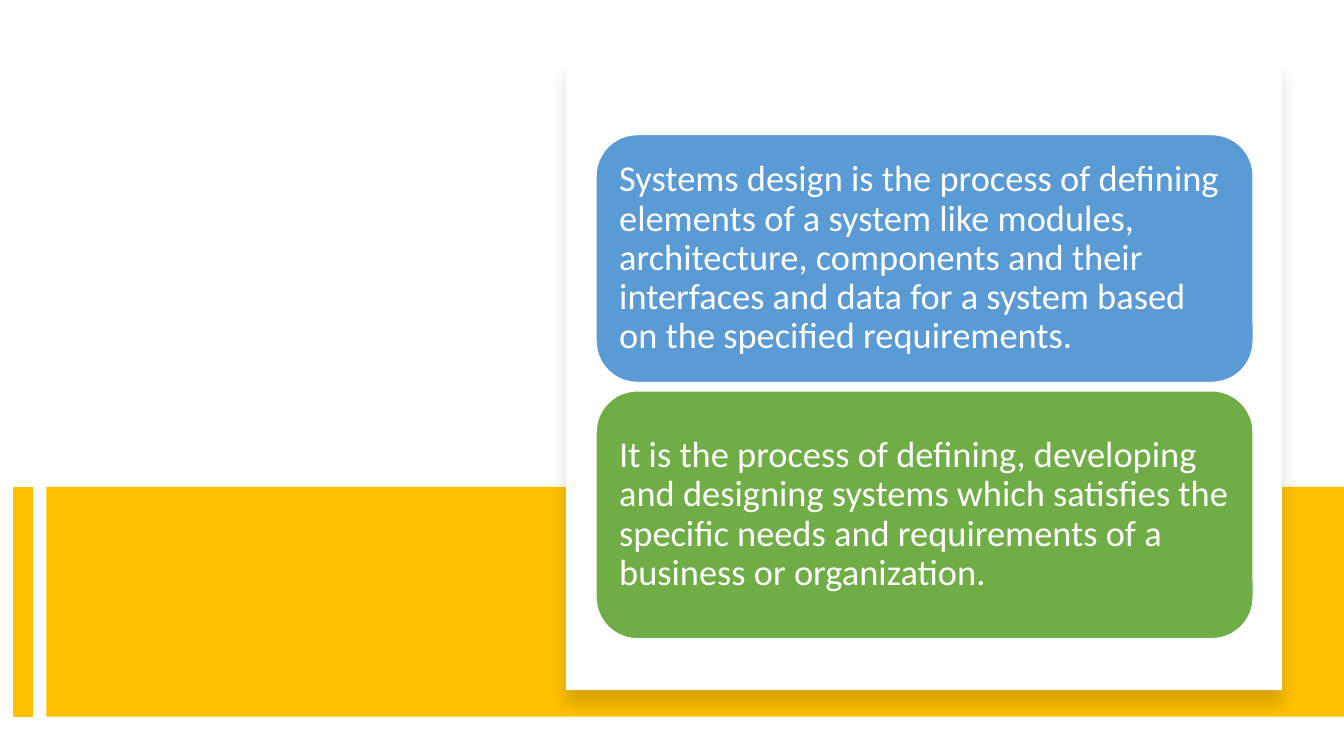
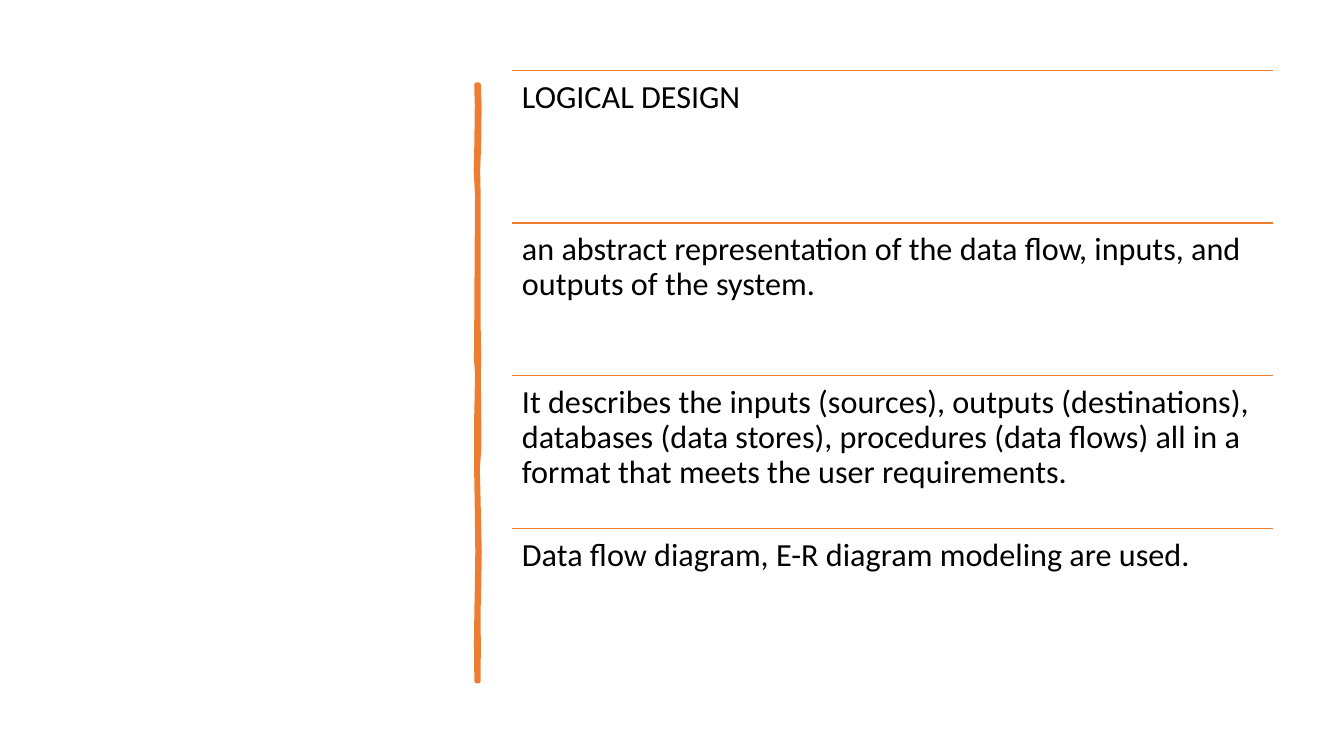
"""Build two slides on systems design: definition cards and ruled statements."""
import dataclasses

import lxml.etree
import pptx
import pptx.dml.color
import pptx.enum.shapes
import pptx.enum.text
import pptx.oxml.ns
import pptx.util

SHAPES = pptx.enum.shapes.MSO_SHAPE
ANCHORS = pptx.enum.text.MSO_ANCHOR


@dataclasses.dataclass(frozen=True)
class Theme:
    """Hold the colours, type sizes and slide size that the deck shares."""
    width: int = pptx.util.Inches(13.333)
    height: int = pptx.util.Inches(7.5)
    font: str = "Calibri"
    white: str = "FFFFFF"
    black: str = "000000"
    gold: str = "FFC000"
    blue: str = "5B9BD5"
    green: str = "70AD47"
    orange: str = "ED7D31"
    card_size: float = 26
    row_size: float = 23
    line_spacing: float = 0.9
    hairline: float = 1
    brush_line: float = 3.25
    bar_line: float = 14


THEME = Theme()

CARDS = (
    (THEME.blue, "Systems design is the process of defining elements of a system "
     "like modules, architecture, components and their interfaces and data for "
     "a system based on the specified requirements."),
    (THEME.green, "It is the process of defining, developing and designing systems "
     "which satisfies the specific needs and requirements of a business or "
     "organization."),
)
STATEMENTS = (
    "LOGICAL DESIGN",
    "an abstract representation of the data flow, inputs, and outputs of the system.",
    "It describes the inputs (sources), outputs (destinations), databases (data "
    "stores), procedures (data flows) all in a format that meets the user "
    "requirements.",
    "Data flow diagram, E-R diagram modeling are used.",
)
BRUSH_EDGES = (
    (1120, 3546, 3561), (1400, 3550, 3567), (1900, 3547, 3564),
    (2250, 3542, 3556), (2600, 3552, 3560), (3400, 3549, 3559),
    (4300, 3546, 3560), (4750, 3544, 3564), (4950, 3552, 3561),
    (5500, 3546, 3564), (5900, 3545, 3566), (6200, 3545, 3554),
    (6750, 3550, 3561), (7300, 3554, 3568), (7800, 3550, 3564),
    (8100, 3547, 3559), (8500, 3544, 3561), (9010, 3547, 3560),
)


def across(share):
    """Convert a percentage of the slide width to a length."""
    return round(THEME.width * share / 100)


def down(share):
    """Convert a percentage of the slide height to a length."""
    return round(THEME.height * share / 100)


def area(left, top, width, height):
    """Convert a rectangle given in slide percentages to lengths."""
    return across(left), down(top), across(width), down(height)


def rgb(value):
    """Return the colour object for a hexadecimal value."""
    return pptx.dml.color.RGBColor.from_string(value)


def style_shape(shape, fill, line=None, weight=THEME.hairline):
    """Give a shape a flat fill, an optional outline and no shadow."""
    shape.shadow.inherit = False
    shape.fill.solid()
    shape.fill.fore_color.rgb = rgb(fill)
    if line:
        shape.line.color.rgb = rgb(line)
        shape.line.width = pptx.util.Pt(weight)
    else:
        shape.line.fill.background()


def add_panel(page, bounds, fill, line=None, kind=SHAPES.RECTANGLE):
    """Add a filled preset shape."""
    panel = page.shapes.add_shape(kind, *area(*bounds))
    style_shape(panel, fill, line)
    return panel


def add_rule(page, start, end, colour, weight=THEME.hairline):
    """Add a straight line between two points given in percentages."""
    rule = page.shapes.add_connector(
        pptx.enum.shapes.MSO_CONNECTOR.STRAIGHT,
        across(start[0]), down(start[1]), across(end[0]), down(end[1]))
    rule.line.color.rgb = rgb(colour)
    rule.line.width = pptx.util.Pt(weight)
    lxml.etree.SubElement(rule._element.spPr, pptx.oxml.ns.qn("a:effectLst"))


def write_text(box, text, size, colour, inset, anchor):
    """Write one left-aligned paragraph with even insets."""
    frame = box.text_frame
    frame.word_wrap = True
    frame.vertical_anchor = anchor
    frame.margin_left = frame.margin_right = pptx.util.Inches(inset)
    frame.margin_top = frame.margin_bottom = pptx.util.Inches(inset)
    frame.text = text
    para = frame.paragraphs[0]
    para.alignment = pptx.enum.text.PP_ALIGN.LEFT
    para.line_spacing = THEME.line_spacing
    for span in para.runs:
        span.font.name = THEME.font
        span.font.size = pptx.util.Pt(size)
        span.font.color.rgb = rgb(colour)


def add_drop_shadow(shape, blur, distance, opacity):
    """Cast a soft black shadow straight down from a shape."""
    qn = pptx.oxml.ns.qn
    effects = shape._element.spPr.find(qn("a:effectLst"))
    shadow = lxml.etree.SubElement(
        effects, qn("a:outerShdw"), blurRad=str(pptx.util.Pt(blur)),
        dist=str(pptx.util.Pt(distance)), dir="5400000", algn="t", rotWithShape="0")
    tint = lxml.etree.SubElement(shadow, qn("a:srgbClr"), val=THEME.black)
    lxml.etree.SubElement(tint, qn("a:alpha"), val=str(opacity * 1000))


def add_brush_stroke(page):
    """Draw the uneven vertical stroke from its left and right edges."""
    right_side = [(right, row) for row, left, right in BRUSH_EDGES]
    left_side = [(left, row) for row, left, right in reversed(BRUSH_EDGES)]
    outline = right_side + left_side
    builder = page.shapes.build_freeform(
        *outline[0], scale=(THEME.width / 10000, THEME.height / 10000))
    builder.add_line_segments(outline[1:], close=True)
    style_shape(builder.convert_to_shape(), THEME.orange, THEME.orange,
                THEME.brush_line)


def build_definition(page):
    """Lay out the gold band and the two definition cards."""
    band_top, band_height = 64.4, 30.4
    add_panel(page, (3.45, band_top, 96.55, band_height), THEME.gold)
    add_rule(page, (1.73, band_top), (1.73, band_top + band_height),
             THEME.gold, THEME.bar_line)
    sheet = add_panel(page, (42.1, 8.5, 53.3, 82.8), THEME.white)
    add_drop_shadow(sheet, blur=11, distance=10, opacity=15)
    card_top, card_height, gap = 17.8, 32.8, 1.1
    for index, (fill, text) in enumerate(CARDS):
        top = card_top + index * (card_height + gap)
        card = add_panel(page, (44.35, top, 48.9, card_height), fill,
                         THEME.white, SHAPES.ROUNDED_RECTANGLE)
        write_text(card, text, THEME.card_size, THEME.white, 0.11, ANCHORS.MIDDLE)


def build_logical_design(page):
    """Lay out the brush stroke and the ruled statements."""
    add_brush_stroke(page)
    left, width, first_row, row_height = 38.1, 56.6, 9.3, 20.2
    for index, text in enumerate(STATEMENTS):
        top = first_row + index * row_height
        add_rule(page, (left, top), (left + width, top), THEME.orange)
        box = page.shapes.add_textbox(*area(left, top, width, row_height))
        write_text(box, text, THEME.row_size, THEME.black, 0.1, ANCHORS.TOP)


def main():
    """Create the deck and save it."""
    deck = pptx.Presentation()
    deck.slide_width, deck.slide_height = THEME.width, THEME.height
    blank = deck.slide_layouts.get_by_name("Blank")
    for build in (build_definition, build_logical_design):
        build(deck.slides.add_slide(blank))
    deck.save("out.pptx")


if __name__ == "__main__":
    main()
